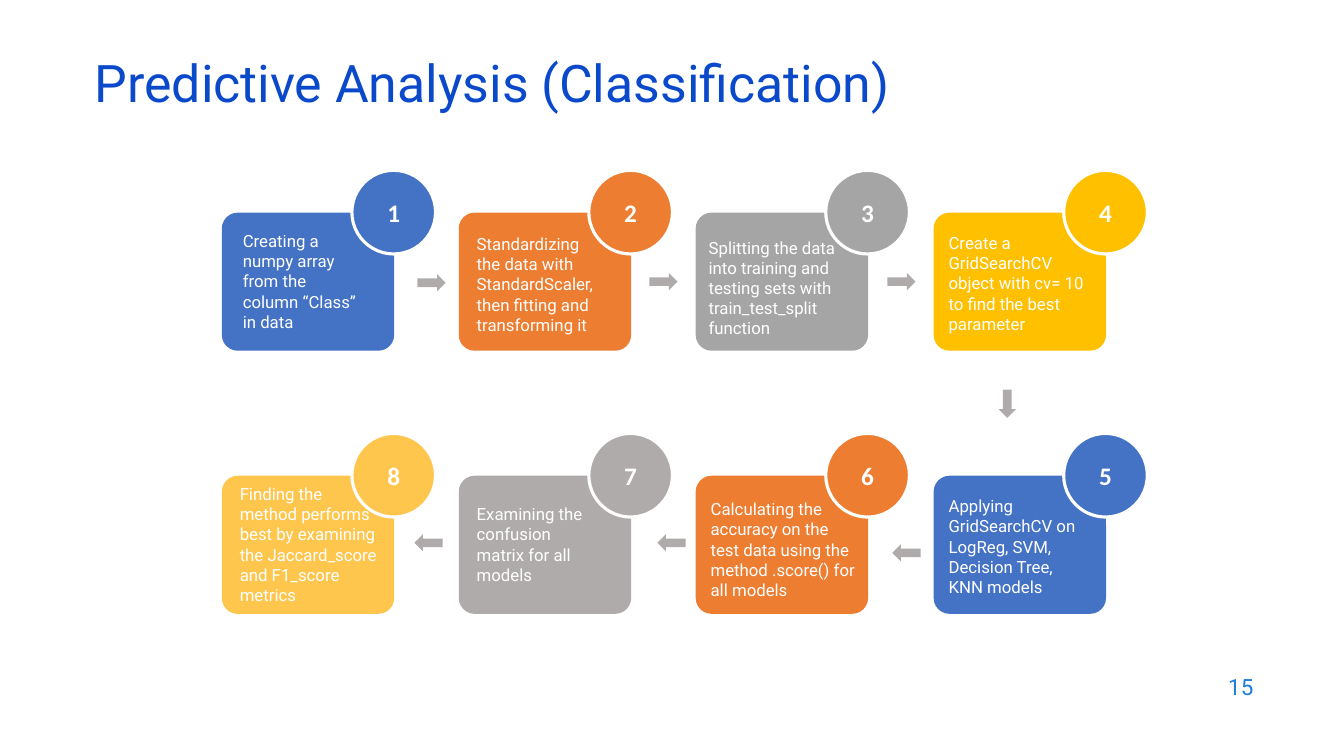
from pptx import Presentation
from pptx.dml.color import RGBColor
from pptx.enum.shapes import MSO_SHAPE
from pptx.enum.text import MSO_ANCHOR, MSO_AUTO_SIZE, PP_ALIGN
from pptx.util import Emu, Pt

ROUND = MSO_SHAPE.ROUNDED_RECTANGLE
OVAL = MSO_SHAPE.OVAL
ARROW = MSO_SHAPE.RIGHT_ARROW
MIDDLE = MSO_ANCHOR.MIDDLE
NO_FIT = MSO_AUTO_SIZE.NONE
LEFT, CENTER, RIGHT = PP_ALIGN.LEFT, PP_ALIGN.CENTER, PP_ALIGN.RIGHT
TOPS = (211, 472)
GRAY = "AFABAB"
STEPS = [
    ("Creating a numpy array from the column “Class” in data", "4472C4", (231, 238, 133, 82)),
    ("Standardizing the data with StandardScaler, then fitting and transforming it",
     "ED7D31", (463, 241, 149, 82)),
    ("Splitting the data into training and testing sets with train_test_split function",
     "A5A5A5", (693, 229, 152, 113)),
    ("Create a GridSearchCV object with cv= 10 to find the best parameter",
     "FFC000", (931, 240, 166, 82)),
    ("Applying GridSearchCV on LogReg, SVM, Decision Tree, KNN models",
     "4472C4", (931, 501, 154, 82)),
    ("Calculating the accuracy on the test data using the method .score() for all models",
     "ED7D31", (695, 504, 167, 82)),
    ("Examining the confusion matrix for all models", GRAY, (463, 499, 133, 82)),
    ("Finding the method performs best by examining the Jaccard_score and F1_score metrics",
     "FFC64E", (228, 499, 160, 82)),
]
ARROWS = [
    (414, 272, 0), (644, 271, 0), (880, 271, 0), (985, 392, 90),
    (885, 540, 180), (652, 530, 180), (411, 530, 180),
]


def px(n):
    """Turn pixels, 100 to the inch, into EMU."""
    return Emu(n * 9144)


def color(code):
    """Turn a hex string into a colour."""
    return RGBColor.from_string(code)


def write(shape, text, size=12, font="Roboto", ink="FFFFFF", bold=False,
          align=LEFT, space=1.0, pad=(10, 5)):
    """Put formatted text into a shape."""
    frame = shape.text_frame
    frame.word_wrap = True
    frame.auto_size = NO_FIT
    frame.vertical_anchor = MIDDLE
    frame.margin_left = frame.margin_right = px(pad[0])
    frame.margin_top = frame.margin_bottom = px(pad[1])
    para = frame.paragraphs[0]
    para.alignment = align
    para.line_spacing = space
    run = para.add_run()
    run.text = text
    run.font.size = Pt(size)
    run.font.name = font
    run.font.bold = bold
    run.font.color.rgb = color(ink)


class Deck:
    """Hold the style and the current slide."""

    def __init__(self):
        """Open a deck with one title slide."""
        self.file = Presentation()
        self.file.slide_width = px(1333)
        self.file.slide_height = px(750)
        self.slide = self.file.slides.add_slide(self.file.slide_layouts[5])

    def title(self, text, box, **style):
        """Place and fill the title."""
        head = self.slide.shapes.title
        head.left, head.top, head.width, head.height = map(px, box)
        write(head, text, **style)

    def text(self, text, box, **style):
        """Add a text box."""
        write(self.slide.shapes.add_textbox(*map(px, box)), text, **style)

    def shape(self, kind, box, fill, line=None):
        """Add a filled shape with an optional outline."""
        item = self.slide.shapes.add_shape(kind, *map(px, box))
        item.shadow.inherit = False
        item.fill.solid()
        item.fill.fore_color.rgb = color(fill)
        if line:
            item.line.color.rgb = color(line)
            item.line.width = Pt(2.25)
        else:
            item.line.fill.background()
        return item

    def card(self, num, left, top, fill, text, box):
        """Add a step card with its number badge."""
        body = self.shape(ROUND, (left, top, 171, 137), fill)
        body.adjustments[0] = 0.115
        self.text(text, box)
        badge = self.shape(OVAL, (left + 129, top - 42, 83, 83), fill, "FFFFFF")
        write(badge, str(num), size=18, font="Calibri", bold=True,
              align=CENTER, pad=(10, 10))

    def arrow(self, left, top, turn):
        """Add a block arrow turned by some degrees."""
        self.shape(ARROW, (left, top, 28, 17), GRAY).rotation = turn


def main():
    """Build and save the slide."""
    deck = Deck()
    deck.title("Predictive Analysis (Classification)", (84, 59, 1150, 60),
               size=37, ink="0B49CB", space=0.7)
    for i, (text, fill, box) in enumerate(STEPS):
        row, col = divmod(i, 4)
        if row:
            col = 3 - col
        deck.card(i + 1, 220 + col * 706 // 3, TOPS[row], fill, text, box)
    for spot in ARROWS:
        deck.arrow(*spot)
    deck.text("15", (953, 659, 300, 44), size=16, ink="1C7DDB", align=RIGHT)
    deck.file.save("out.pptx")


if __name__ == "__main__":
    main()
